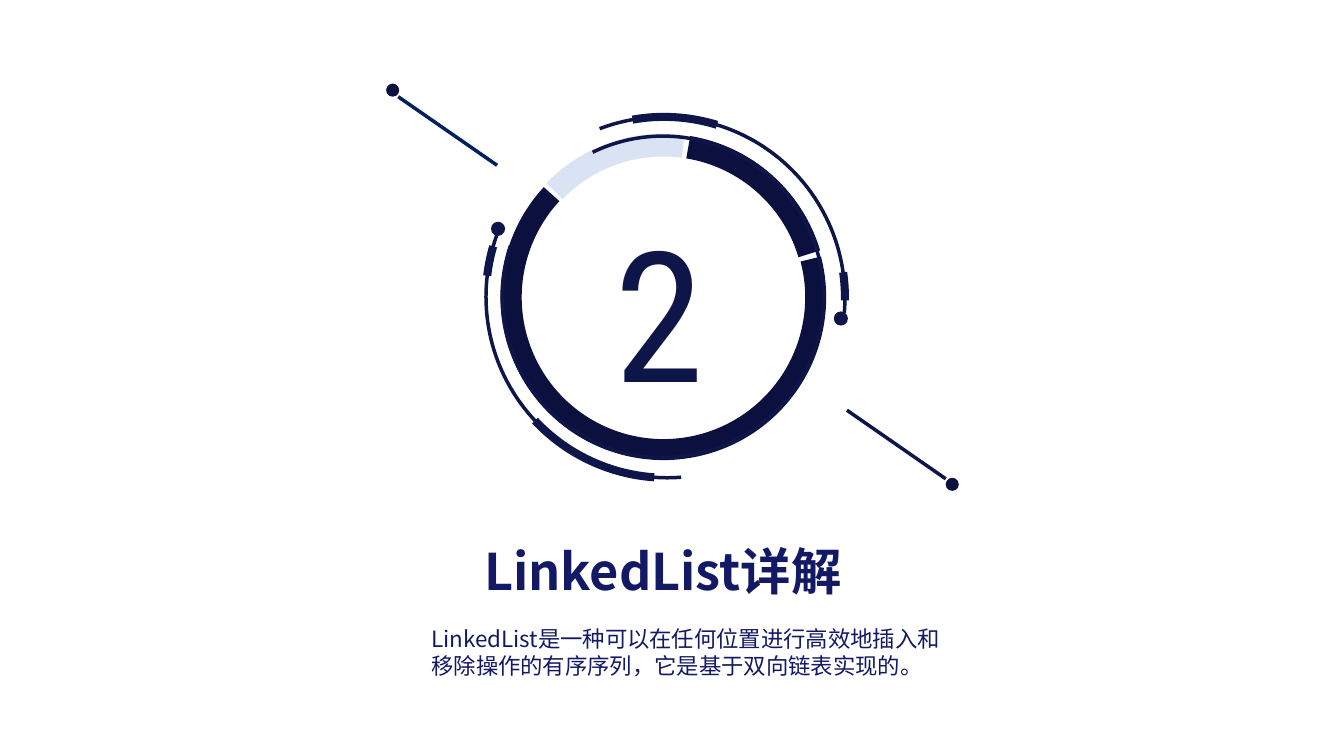
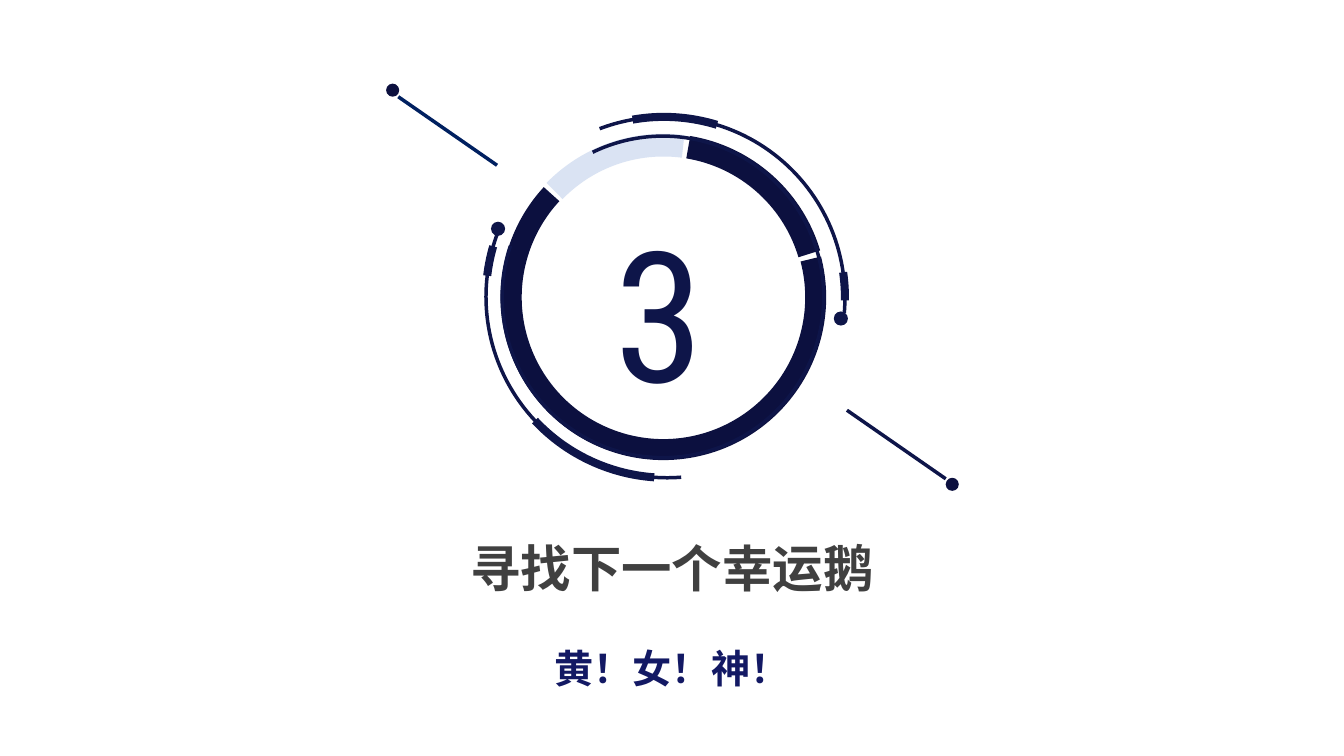
from lxml import etree
from pptx import Presentation
from pptx.dml.color import RGBColor
from pptx.enum.shapes import MSO_CONNECTOR, MSO_SHAPE
from pptx.enum.text import MSO_ANCHOR, MSO_AUTO_SIZE, PP_ALIGN
from pptx.oxml.ns import qn
from pptx.util import Inches, Pt

ARC, DOT = MSO_SHAPE.ARC, MSO_SHAPE.OVAL
STRAIGHT = MSO_CONNECTOR.STRAIGHT
TOP, MIDDLE = MSO_ANCHOR.TOP, MSO_ANCHOR.MIDDLE
LEFT, CENTER = PP_ALIGN.LEFT, PP_ALIGN.CENTER
GROW = MSO_AUTO_SIZE.SHAPE_TO_FIT_TEXT

COLORS = {
    "navy": "0E1549",
    "ring": "0C103F",
    "pale": "DAE3F3",
    "blue": "002060",
    "text": "131964",
    "gray": "404040",
}
DIGIT_FONT = "Roboto Condensed"
SC_FONT = "Noto Sans CJK SC"
JP_FONT = "Noto Sans CJK JP"

# Circles: left, top, diameter
LEFT_ORBIT = (4.82, 1.15, 3.59)
RIGHT_ORBIT = (4.79, 1.16, 3.59)
RING = (5.07, 1.44, 3.02)
RIM = (4.98, 1.35, 3.19)

# Circle, start and end in degrees clockwise from east, color, width in points
ARCS = [
    (LEFT_ORBIT, 85.5, 200.64, "navy", 2.5),
    (LEFT_ORBIT, 94.04, 136.83, "navy", 5.75),
    (LEFT_ORBIT, 186.71, 196.22, "navy", 5.75),
    (RING, 224.34, 277.43, "pale", 16.25),
    (RING, 345.41, 222.71, "ring", 15),
    (RING, 279.4, 343.38, "ring", 16.25),
    (RIM, 244.09, 198.5, "navy", 2.5),
    (RIGHT_ORBIT, 249.19, 4.88, "navy", 2.5),
    (RIGHT_ORBIT, 351.88, 0.81, "navy", 5.75),
    (RIGHT_ORBIT, 260.04, 287.03, "navy", 5.75),
]
# Start x, start y, end x, end y, color
RAYS = [
    (3.95, 0.96, 4.93, 1.64, "blue"),
    (8.4, 4.07, 9.38, 4.75, "navy"),
]
# Left, top, diameter, color
DOTS = [
    (4.87, 2.2, 0.14, "navy"),
    (3.83, 0.83, 0.13, "ring"),
    (9.38, 4.74, 0.13, "ring"),
    (8.27, 3.09, 0.14, "navy"),
]

SECTIONS = [
    {
        "number": ("2", 1.12),
        "title": ("LinkedList详解", (4.09, 5.31, 4.97, 0.71), "text"),
        "subtitle": dict(
            text="LinkedList是一种可以在任何位置进行高效地插入和移除操作的有序序列，它是基于双向链表实现的。",
            box=(4.18, 6.15, 5.32, 0.64), size=16, font=SC_FONT, color="text",
            anchor=MIDDLE),
    },
    {
        "number": ("3", 1.17),
        "title": ("寻找下一个幸运鹅", (4.18, 5.28, 4.97, 0.71), "gray"),
        "subtitle": dict(
            text="黄！女！神！", box=(4.08, 5.88, 5.17, 0.92), size=28,
            font=JP_FONT, color="text", bold=True, align=CENTER, spacing=2.0),
    },
]


def rgb(name):
    return RGBColor.from_string(COLORS[name])


def add_text(slide, text, box, size, font, color, bold=False, align=LEFT,
             anchor=TOP, wrap=True, spacing=None):
    """Add a one-run text box, with the font set for Latin and East Asian text."""
    frame = slide.shapes.add_textbox(*map(Inches, box)).text_frame
    frame.word_wrap = wrap
    frame.auto_size = GROW
    frame.vertical_anchor = anchor
    paragraph = frame.paragraphs[0]
    paragraph.alignment = align
    paragraph.line_spacing = spacing
    run = paragraph.add_run()
    run.text = text
    run.font.size = Pt(size)
    run.font.bold = bold
    run.font.color.rgb = rgb(color)
    run.font.name = font
    east_asian = etree.SubElement(run.font._element, qn("a:ea"))
    east_asian.set("typeface", font)


prs = Presentation()
prs.slide_width = Inches(13.33)
prs.slide_height = Inches(7.5)

for section in SECTIONS:
    slide = prs.slides.add_slide(prs.slide_layouts[6])
    shapes = slide.shapes

    number, number_width = section["number"]
    add_text(slide, number, (6, 1.94, number_width, 2.29), 130, DIGIT_FONT,
             "navy", wrap=False)

    for (left, top, diameter), start, end, color, width in ARCS:
        arc = shapes.add_shape(ARC, Inches(left), Inches(top),
                               Inches(diameter), Inches(diameter))
        # One adjustment unit is 100000 / 60000 of a degree
        arc.adjustments[0] = start * 0.6
        arc.adjustments[1] = end * 0.6
        arc.shadow.inherit = False
        arc.fill.background()
        arc.line.color.rgb = rgb(color)
        arc.line.width = Pt(width)

    for *ends, color in RAYS:
        ray = shapes.add_connector(STRAIGHT, *map(Inches, ends))
        ray.line.color.rgb = rgb(color)
        ray.line.width = Pt(2.5)
        etree.SubElement(ray._element.spPr, qn("a:effectLst"))

    for left, top, diameter, color in DOTS:
        dot = shapes.add_shape(DOT, Inches(left), Inches(top),
                               Inches(diameter), Inches(diameter))
        dot.shadow.inherit = False
        dot.fill.solid()
        dot.fill.fore_color.rgb = rgb(color)
        dot.line.fill.background()

    title, title_box, title_color = section["title"]
    add_text(slide, title, title_box, 36, SC_FONT, title_color, bold=True,
             align=CENTER)
    add_text(slide, **section["subtitle"])

prs.save("out.pptx")
